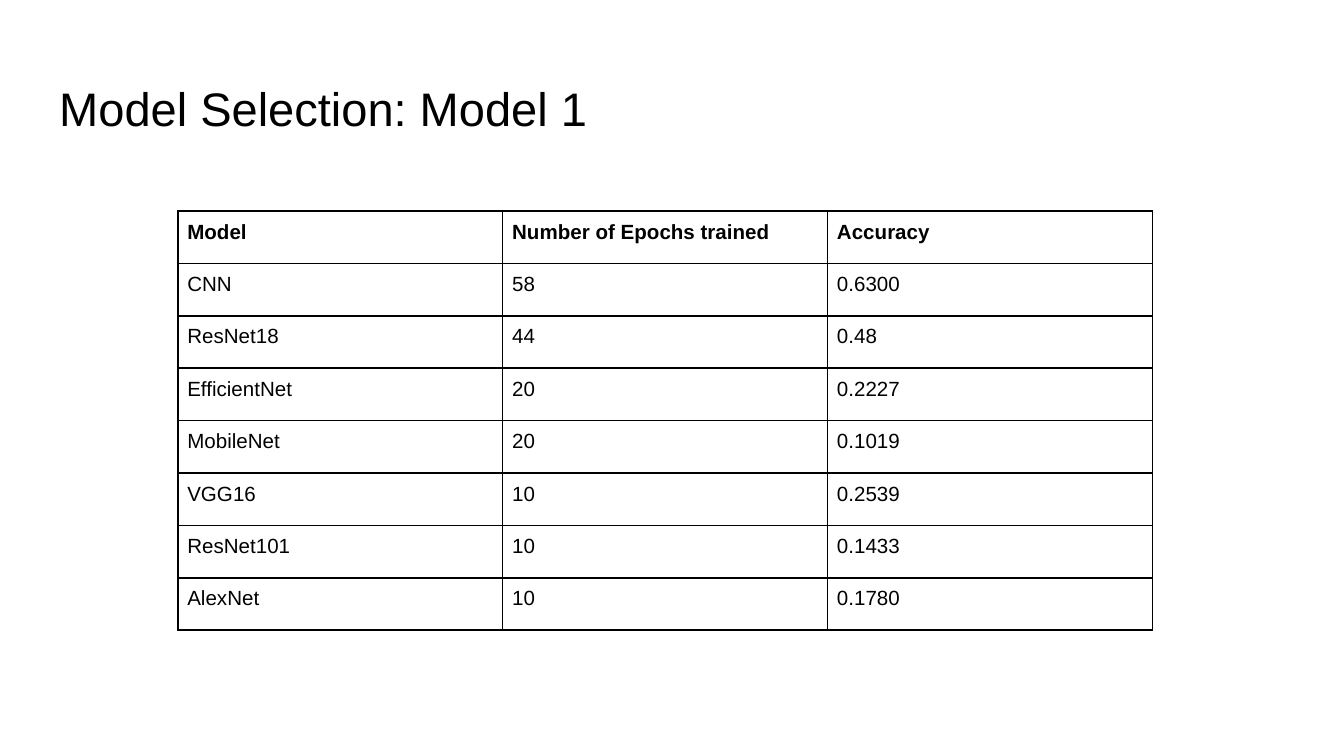
import pptx
import pptx.util
import pptx.dml.color
import pptx.enum.text
import pptx.oxml.ns
import lxml.etree

Cm = pptx.util.Cm
Pt = pptx.util.Pt
HUES = {"ink": "000000"}
ROWS = [
    ("Model", "Number of Epochs trained", "Accuracy"),
    ("CNN", "58", "0.6300"),
    ("ResNet18", "44", "0.48"),
    ("EfficientNet", "20", "0.2227"),
    ("MobileNet", "20", "0.1019"),
    ("VGG16", "10", "0.2539"),
    ("ResNet101", "10", "0.1433"),
    ("AlexNet", "10", "0.1780"),
]


def write(frame, text, size=11, bold=False, hue="ink", font="Arial"):
    run = frame.paragraphs[0].add_run()
    run.text = text
    run.font.name = font
    run.font.size = Pt(size)
    run.font.bold = bold
    run.font.color.rgb = pptx.dml.color.RGBColor.from_string(HUES[hue])


def border(cell, hue="ink", width=1):
    qn = pptx.oxml.ns.qn
    props = cell._tc.get_or_add_tcPr()
    for side in ("lnL", "lnR", "lnT", "lnB"):
        line = lxml.etree.SubElement(props, qn(f"a:{side}"), w=str(Pt(width)))
        fill = lxml.etree.SubElement(line, qn("a:solidFill"))
        lxml.etree.SubElement(fill, qn("a:srgbClr"), val=HUES[hue])


class Page:
    pad = Cm(0.25)
    inset = Cm(0.18)

    def __init__(self, deck):
        self.slide = deck.slides.add_slide(deck.slide_layouts[6])

    def title(self, text, left, top, width, height):
        box = self.slide.shapes.add_textbox(Cm(left), Cm(top), Cm(width), Cm(height))
        frame = box.text_frame
        frame.word_wrap = True
        frame.vertical_anchor = pptx.enum.text.MSO_ANCHOR.MIDDLE
        frame.margin_left = frame.margin_right = self.pad
        frame.margin_top = frame.margin_bottom = self.pad
        write(frame, text, size=25.2)

    def table(self, rows, left, top, wide, high):
        count, span = len(rows), len(rows[0])
        grid = self.slide.shapes.add_table(
            count, span, Cm(left), Cm(top), Cm(wide * span), Cm(high * count)
        ).table
        grid.first_row = grid.horz_banding = False
        for i, row in enumerate(rows):
            for j, text in enumerate(row):
                cell = grid.cell(i, j)
                cell.margin_left = cell.margin_right = self.inset
                cell.margin_top = cell.margin_bottom = self.inset
                border(cell)
                cell.fill.background()
                write(cell.text_frame, text, bold=i == 0)


def main():
    deck = pptx.Presentation()
    deck.slide_width = Cm(25.4)
    deck.slide_height = Cm(14.29)
    page = Page(deck)
    page.title("Model Selection: Model 1", 0.87, 1.24, 23.67, 1.6)
    page.table(ROWS, 3.36, 3.99, 6.14, 0.99)
    deck.save("out.pptx")


if __name__ == "__main__":
    main()
